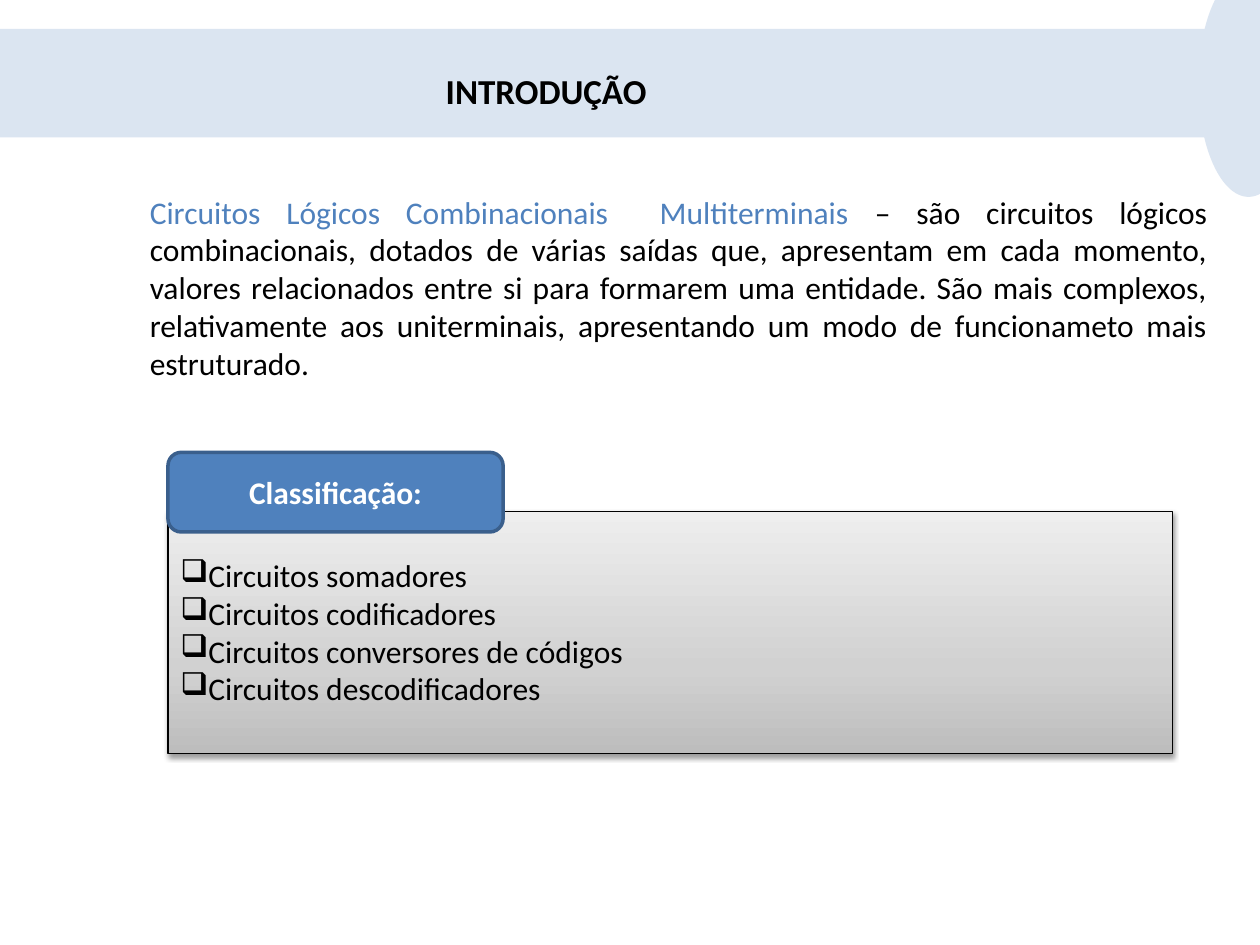
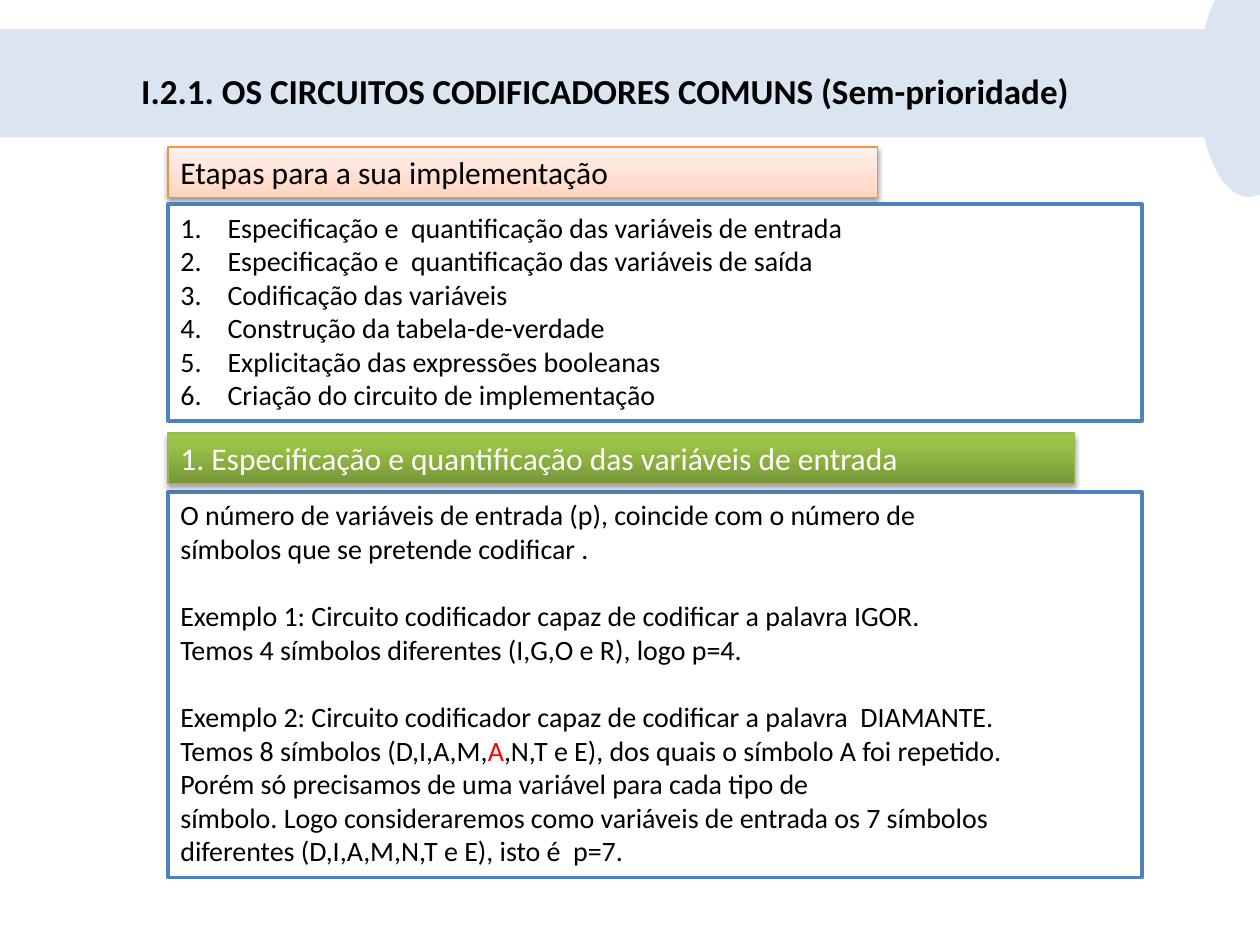
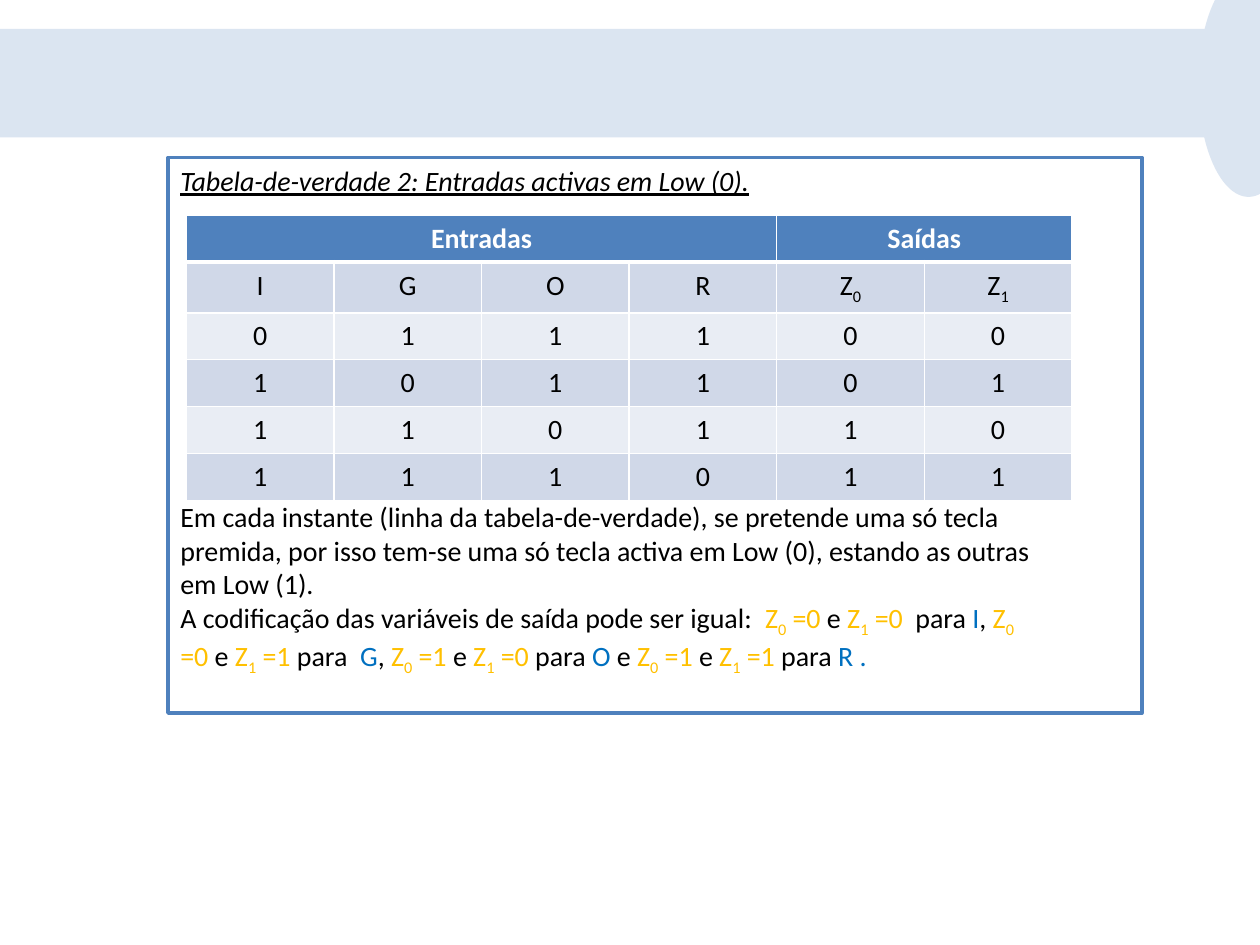
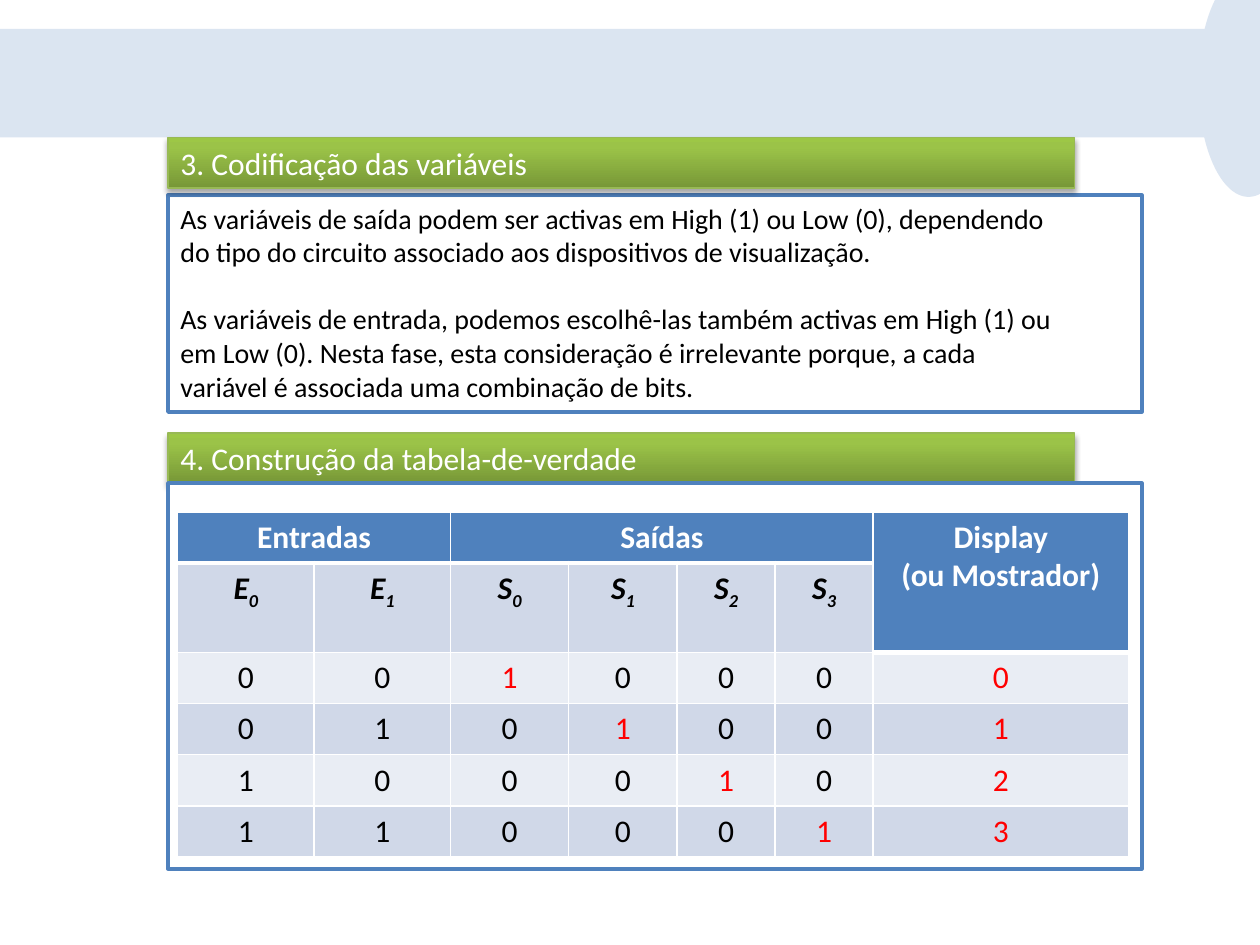
from copy import deepcopy
from dataclasses import dataclass

from pptx import Presentation
from pptx.dml.color import RGBColor
from pptx.enum.shapes import MSO_SHAPE as Preset
from pptx.enum.text import MSO_ANCHOR as Anchor, PP_ALIGN as Align
from pptx.oxml import parse_xml
from pptx.oxml.ns import nsdecls, qn
from pptx.util import Pt


@dataclass(frozen=True)
class Theme:
    font: str = "Calibri"
    title: int = 20
    heading: int = 18
    body: int = 16
    blank_line: float = 19.2
    hang: int = 27
    black: str = "000000"
    white: str = "FFFFFF"
    blue: str = "4F81BD"
    band: str = "DBE5F1"
    red: str = "FF0000"
    orange: str = "FFC000"
    key_blue: str = "0070C0"
    rows: tuple = ("D0D8E8", "E9EDF4")


theme = Theme()
LEFT = 96
PANEL_WIDTH = 556.5
HEADING_SIZE = (518, 29)

# A tuple of (position, colour) pairs is a gradient; shadow is (opacity %, distance).
BAND = dict(fill=theme.band)
PANEL = dict(fill=theme.white, line=theme.blue, width=2)
LABEL = dict(fill=theme.blue, line="3A5F8C", width=2)
GREY = dict(fill=((0, "BDBDBD"), (0.35, "D1D1D1"), (1, "EEEEEE")),
            line=theme.black, width=0.75, shadow=(38, 1.6))
PEACH = dict(fill=((0, "FFD2BD"), (0.35, "FFDED0"), (1, "FFF2ED")),
             line="F69240", width=0.75, shadow=(38, 1.6))
GREEN = dict(fill=((0, "779737"), (0.8, "9BC348"), (1, "9DC746")),
             line="98B955", width=0.75, shadow=(35, 1.8))

HEADING = dict(size=theme.heading)
GREEN_TEXT = dict(size=theme.heading, color=theme.white)
LIST = dict(hang=theme.hang)
JUSTIFIED = dict(hang=theme.hang, align=Align.JUSTIFY)


def write(frame, paras, align=Align.LEFT, anchor=Anchor.TOP, hang=0, bullet=None,
          gaps=None, **style):
    """Fill a frame. A paragraph is a string or a list of strings and (text, style)
    pairs; "_" lowers the next character; gaps maps a paragraph to the lines above it."""
    frame.word_wrap = True
    frame.vertical_anchor = anchor
    for index, content in enumerate(paras):
        para = frame.paragraphs[0] if index == 0 else frame.add_paragraph()
        para.alignment = align
        para.space_before = Pt((gaps or {}).get(index, 0) * theme.blank_line)
        props = para._p.get_or_add_pPr()
        if hang:
            props.set("marL", str(Pt(hang)))
            props.set("indent", str(-Pt(hang)))
        if bullet:
            props.append(parse_xml(bullet))
        for part in [content] if isinstance(content, str) else content:
            text, own = (part, {}) if isinstance(part, str) else part
            look = dict(size=theme.body, color=theme.black) | style | own
            plain, *lowered = text.split("_")
            pieces = [(plain, False)]
            for piece in lowered:
                pieces += [(piece[0], True), (piece[1:], False)]
            for piece, is_low in pieces:
                if not piece:
                    continue
                span = para.add_run()
                span.text = piece
                span.font.name = theme.font
                span.font.size = Pt(look["size"])
                span.font.color.rgb = RGBColor.from_string(look["color"])
                span.font.bold = look.get("bold", False)
                span.font.italic = look.get("italic", False)
                span.font.underline = look.get("underline", False)
                if is_low:
                    span._r.get_or_add_rPr().set("baseline", "-25000")


def add_box(page, place, fill, line=None, width=1, shadow=None, preset=Preset.RECTANGLE):
    box = page.shapes.add_shape(preset, *map(Pt, place))
    box.shadow.inherit = False
    if isinstance(fill, str):
        box.fill.solid()
        box.fill.fore_color.rgb = RGBColor.from_string(fill)
    else:
        box.fill.gradient()
        box.fill.gradient_angle = 90
        stops = box._element.spPr.find(qn("a:gradFill")).gsLst
        stops.append(deepcopy(stops[0]))
        for stop, (position, color) in zip(box.fill.gradient_stops, fill):
            stop.position = position
            stop.color.rgb = RGBColor.from_string(color)
    if line:
        box.line.color.rgb = RGBColor.from_string(line)
        box.line.width = Pt(width)
    else:
        box.line.fill.background()
    if shadow:
        opacity, distance = shadow
        box._element.spPr.find(qn("a:effectLst")).append(parse_xml(
            f'<a:outerShdw {nsdecls("a")} blurRad="{Pt(3.1)}" dist="{Pt(distance)}" '
            f'dir="5400000" rotWithShape="0"><a:srgbClr val="{theme.black}">'
            f'<a:alpha val="{opacity * 1000}"/></a:srgbClr></a:outerShdw>'))
    return box


deck = Presentation()
deck.slide_width, deck.slide_height = Pt(720), Pt(540)
TITLE_ONLY, BLANK = deck.slide_layouts[5], deck.slide_layouts[6]

# Pages with their shared band and titles
titles = [
    ("INTRODUÇÃO", 247.5, 168.5),
    ("I.2.1. OS CIRCUITOS CODIFICADORES COMUNS (Sem-prioridade)", 73.5, 652),
    None,
    None,
]
pages = []
for title in titles:
    page = deck.slides.add_slide(TITLE_ONLY if title else BLANK)
    add_box(page, (0, 16.5, 698, 62), **BAND)
    add_box(page, (684.75, -16.5, 57.5, 129), preset=Preset.OVAL, **BAND)
    if title:
        text, left, width = title
        holder = page.shapes.title
        holder.left, holder.top, holder.width, holder.height = map(Pt, (left, 36, width, 31.5))
        write(holder.text_frame, [text], size=theme.title, bold=True)
        page.shapes._spTree.append(holder._element)
    pages.append(page)
intro, encoders, truth_table, coding = pages

# Slide 1: introduction
definition = intro.shapes.add_textbox(*map(Pt, (78.5, 106.5, 618.5, 247)))
write(definition.text_frame, [[
    ("Circuitos Lógicos Combinacionais  Multiterminais ", dict(color=theme.blue)),
    "– são circuitos lógicos combinacionais, dotados de várias saídas que, apresentam em "
    "cada momento, valores relacionados entre si para formarem uma entidade. São mais "
    "complexos, relativamente aos uniterminais, apresentando um modo de funcionameto mais "
    "estruturado.",
]], align=Align.JUSTIFY, **HEADING)
classes = add_box(intro, (LEFT, 292.5, 574, 138), **GREY).text_frame
classes.margin_top = Pt(25.2)
write(classes, [
    "Circuitos somadores",
    "Circuitos codificadores",
    "Circuitos conversores de códigos",
    "Circuitos descodificadores",
], bullet=f'<a:buChar {nsdecls("a")} char="❑"/>', **HEADING)
label = add_box(intro, (LEFT, 258.5, 191.5, 45.5), preset=Preset.ROUNDED_RECTANGLE, **LABEL)
write(label.text_frame, ["Classificação:"], align=Align.CENTER, anchor=Anchor.MIDDLE,
      bold=True, **GREEN_TEXT)

# Slide 2: stages and input variables
stages_heading = add_box(encoders, (LEFT, 84, 405.5, 29), **PEACH)
write(stages_heading.text_frame, ["Etapas para a sua implementação"], **HEADING)
stages = add_box(encoders, (LEFT, 116.5, PANEL_WIDTH, 124), **PANEL)
write(stages.text_frame, [
    "Especificação e  quantificação das variáveis de entrada",
    "Especificação e  quantificação das variáveis de saída",
    "Codificação das variáveis",
    "Construção da tabela-de-verdade",
    "Explicitação das expressões booleanas",
    "Criação do circuito de implementação",
], bullet=f'<a:buAutoNum {nsdecls("a")} type="arabicPeriod"/>', **LIST)
examples = add_box(encoders, (LEFT, 281, PANEL_WIDTH, 220.5), **PANEL)
write(examples.text_frame, [
    "O número de variáveis de entrada (p), coincide com o número de",
    "símbolos que se pretende codificar .",
    "Exemplo 1: Circuito codificador capaz de codificar a palavra IGOR.",
    "Temos 4 símbolos diferentes (I,G,O e R), logo p=4.",
    "Exemplo 2: Circuito codificador capaz de codificar a palavra  DIAMANTE.",
    ["Temos 8 símbolos (D,I,A,M,", ("A", dict(color=theme.red)),
     ",N,T e E), dos quais o símbolo A foi repetido."],
    "Porém só precisamos de uma variável para cada tipo de",
    "símbolo. Logo consideraremos como variáveis de entrada os 7 símbolos",
    "diferentes (D,I,A,M,N,T e E), isto é  p=7.",
], gaps={2: 1, 4: 1}, **JUSTIFIED)

# Slide 3: truth table with explanation
output, key = dict(color=theme.orange), dict(color=theme.key_blue)
explanation = add_box(truth_table, (LEFT, 90, PANEL_WIDTH, 317.5), **PANEL)
write(explanation.text_frame, [
    [("Tabela-de-verdade 2: Entradas activas em Low (0).", dict(italic=True, underline=True))],
    "Em cada instante (linha da tabela-de-verdade), se pretende uma só tecla",
    "premida, por isso tem-se uma só tecla activa em Low (0), estando as outras",
    "em Low (1).",
    ["A codificação das variáveis de saída pode ser igual:  ", ("Z_0 =0 ", output), "e ",
     ("Z_1 =0  ", output), "para ", ("I", key), ", ", ("Z_0", output)],
    [("=0 ", output), "e ", ("Z_1 =1 ", output), "para  ", ("G", key), ", ",
     ("Z_0 =1 ", output), "e ", ("Z_1 =0 ", output), "para ", ("O", key), " e ",
     ("Z_0 =1 ", output), "e ", ("Z_1 =1 ", output), "para ", ("R .", key)],
], gaps={1: 9}, **LIST)

# Slide 4: coding of the variables
coding_text = add_box(coding, (LEFT, 111.5, PANEL_WIDTH, 124), **PANEL)
write(coding_text.text_frame, [
    "As variáveis de saída podem ser activas em High (1) ou Low (0), dependendo",
    "do tipo do circuito associado aos dispositivos de visualização.",
    "As variáveis de entrada, podemos escolhê-las também activas em High (1) ou",
    "em Low (0). Nesta fase, esta consideração é irrelevante porque, a cada",
    "variável é associada uma combinação de bits.",
], gaps={2: 1}, **JUSTIFIED)

# Green step headings of slides 2 and 4
for page, top, text in [
    (encoders, 247.5, "1. Especificação e quantificação das variáveis de entrada"),
    (coding, 78.5, "3. Codificação das variáveis"),
    (coding, 247.5, "4. Construção da tabela-de-verdade"),
]:
    heading = add_box(page, (LEFT, top, *HEADING_SIZE), **GREEN)
    write(heading.text_frame, [text], **GREEN_TEXT)
add_box(coding, (LEFT, 276, PANEL_WIDTH, 220.5), **PANEL)

# Truth tables: one input low per row (encoder), one output high per row (decoder)
encoder_rows = [[str(int(col != row)) for col in range(4)] + list(f"{row:02b}")
                for row in range(4)]
decoder_rows = [list(f"{row:02b}") + [str(int(col == row)) for col in range(4)] + [str(row)]
                for row in range(4)]
tables = [
    dict(page=truth_table, at=(106.5, 123), widths=[84.35] * 6, height=26.4, size=theme.body,
         spans=[("Entradas", 0, 0, 3), ("Saídas", 4, 0, 5)],
         names=["I", "G", "O", "R", "Z_0", "Z_1"], name_style={},
         values=encoder_rows, red=set()),
    dict(page=coding, at=(101.5, 292.5), widths=[78, 78, 67.5, 62, 56, 56, 146],
         height=29.2, size=theme.heading,
         spans=[("Entradas", 0, 0, 1), ("Saídas", 2, 0, 5), ("Display\n(ou Mostrador)", 6, 1, 6)],
         names=["E_0", "E_1", "S_0", "S_1", "S_2", "S_3"],
         name_style=dict(bold=True, italic=True),
         values=decoder_rows,
         red={(row + 2, col) for row in range(4) for col in (row + 2, 6)}),
]
for data in tables:
    widths, height = data["widths"], data["height"]
    row_count = 2 + len(data["values"])
    grid = data["page"].shapes.add_table(
        row_count, len(widths), *map(Pt, (*data["at"], sum(widths), height * row_count))).table
    grid.horz_banding = grid.first_row = False
    for column, width in zip(grid.columns, widths):
        column.width = Pt(width)
    for row in grid.rows:
        row.height = Pt(height)
    for text, first, last_row, last in data["spans"]:
        cell = grid.cell(0, first)
        cell.merge(grid.cell(last_row, last))
        write(cell.text_frame, text.split("\n"), align=Align.CENTER, size=data["size"],
              color=theme.white, bold=True)
    for row, texts in enumerate([data["names"], *data["values"]], start=1):
        for col, text in enumerate(texts):
            style = dict(data["name_style"]) if row == 1 else {}
            if (row, col) in data["red"]:
                style["color"] = theme.red
            write(grid.cell(row, col).text_frame, [text], align=Align.CENTER,
                  size=data["size"], **style)
    for row in range(row_count):
        for col in range(len(widths)):
            cell = grid.cell(row, col)
            is_header = cell.is_merge_origin or cell.is_spanned
            borders = {"lnL": 1, "lnR": 1, "lnT": 1, "lnB": 3 if is_header else 1}
            if row:
                del borders["lnT"]
            for side, width in borders.items():
                cell._tc.get_or_add_tcPr().append(parse_xml(
                    f'<a:{side} {nsdecls("a")} w="{Pt(width)}"><a:solidFill>'
                    f'<a:srgbClr val="{theme.white}"/></a:solidFill></a:{side}>'))
            cell.fill.solid()
            cell.fill.fore_color.rgb = RGBColor.from_string(
                theme.blue if is_header else theme.rows[(row + 1) % 2])

deck.save("out.pptx")
